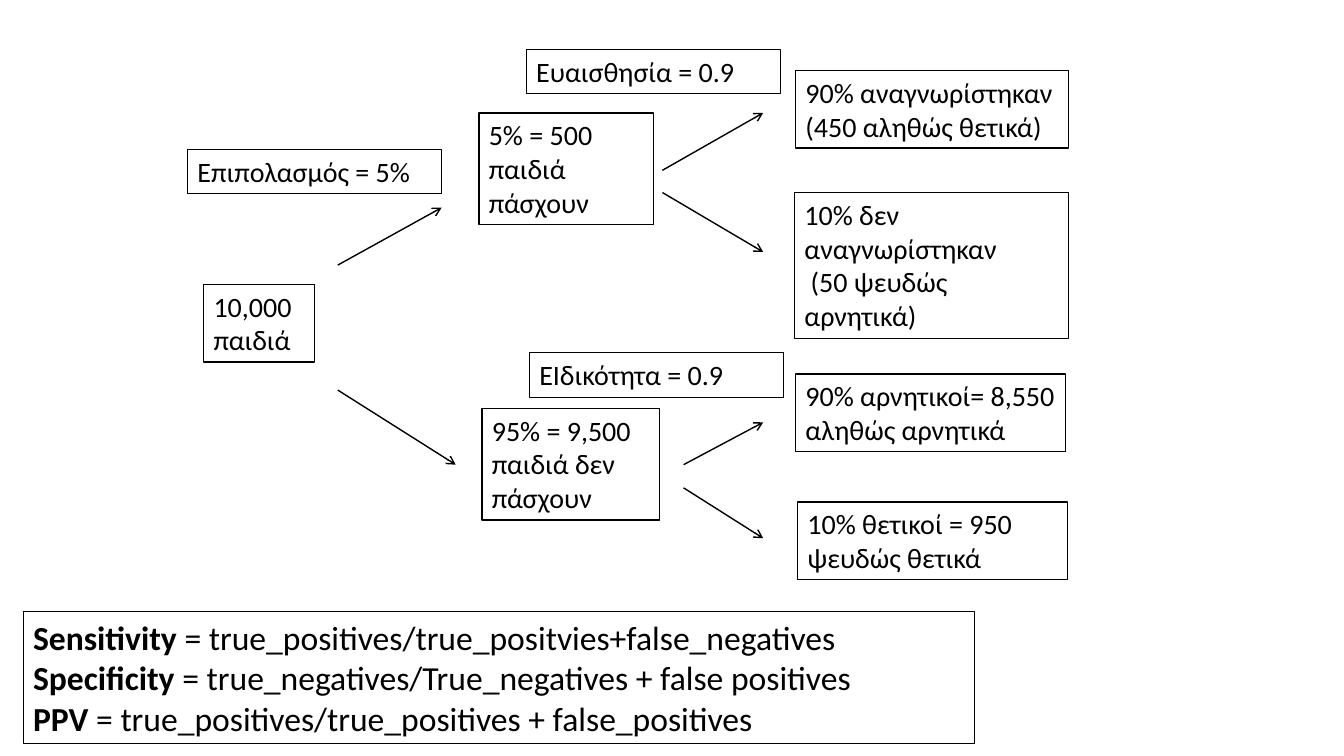
from dataclasses import dataclass

import pptx
import pptx.dml.color
import pptx.enum.shapes
import pptx.enum.text
import pptx.oxml
import pptx.oxml.ns
import pptx.util
from pptx.util import Inches

BLACK = "000000"
WHITE = "FFFFFF"
FONT = "Calibri"


@dataclass(frozen=True)
class Box:
    """A framed text; each line holds a bold term and the plain words after it."""
    left: float
    top: float
    width: float
    height: float
    lines: tuple[tuple[str, str], ...]
    size: int = 20
    border: float = 0.75
    fill: str | None = None


@dataclass(frozen=True)
class Arrow:
    start: tuple[float, float]
    end: tuple[float, float]


def group(left: float, top: float, width: float, height: float, *lines: str) -> Box:
    """A white box for a group of children in the tree."""
    return Box(left, top, width, height, tuple(("", line) for line in lines),
               border=1, fill=WHITE)


def rate(left: float, top: float, text: str) -> Box:
    """A label for the rate that governs a branching."""
    return Box(left, top, 2.52, 0.44, (("", text),))


BOXES = [
    group(2.02, 2.82, 1.1, 0.77, "10,000", "παιδιά"),
    group(4.75, 1.12, 1.73, 1.11, "5% = 500 παιδιά πάσχουν"),
    group(4.78, 4.05, 1.76, 1.11, "95% = 9,500 παιδιά δεν πάσχουν"),
    group(7.89, 0.7, 2.71, 0.77, "90% αναγνωρίστηκαν", "(450 αληθώς θετικά)"),
    group(7.88, 1.91, 2.72, 1.45, "10% δεν αναγνωρίστηκαν", " (50 ψευδώς αρνητικά)"),
    group(7.89, 3.71, 2.68, 0.77, "90% αρνητικοί= 8,550 αληθώς αρνητικά"),
    group(7.91, 4.98, 2.68, 0.77, "10% θετικοί = 950 ψευδώς θετικά"),
    rate(1.86, 1.48, "Επιπολασμός = 5%"),
    rate(5.22, 0.49, "Ευαισθησία = 0.9"),
    rate(5.25, 3.5, "ΕΙδικότητα = 0.9"),
    Box(0.23, 6.07, 9.44, 1.31, (
        ("Sensitivity", " = true_positives/true_positvies+false_negatives"),
        ("Specificity", " = true_negatives/True_negatives + false positives"),
        ("PPV", " = true_positives/true_positives + false_positives"),
    ), size=24),
]

ARROWS = [
    Arrow((3.35, 2.63), (4.38, 2.06)),
    Arrow((3.35, 3.87), (4.52, 4.61)),
    Arrow((6.57, 1.69), (7.57, 1.12)),
    Arrow((6.57, 1.91), (7.57, 2.5)),
    Arrow((6.78, 4.61), (7.57, 4.19)),
    Arrow((6.78, 4.84), (7.57, 5.34)),
]


def rgb(value: str) -> pptx.dml.color.RGBColor:
    return pptx.dml.color.RGBColor.from_string(value)


def add_text(paragraph, text: str, *, size: int, bold: bool = False,
             color: str = BLACK) -> None:
    run = paragraph.add_run()
    run.text = text
    run.font.name = FONT
    run.font.size = pptx.util.Pt(size)
    run.font.bold = bold
    run.font.color.rgb = rgb(color)


def draw_box(slide, box: Box) -> None:
    frame = slide.shapes.add_shape(
        pptx.enum.shapes.MSO_SHAPE.RECTANGLE,
        Inches(box.left), Inches(box.top), Inches(box.width), Inches(box.height))
    frame.shadow.inherit = False
    if box.fill:
        frame.fill.solid()
        frame.fill.fore_color.rgb = rgb(box.fill)
    else:
        frame.fill.background()
    frame.line.color.rgb = rgb(BLACK)
    frame.line.width = pptx.util.Pt(box.border)

    body = frame.text_frame
    body.word_wrap = True
    body.auto_size = pptx.enum.text.MSO_AUTO_SIZE.SHAPE_TO_FIT_TEXT
    body.vertical_anchor = pptx.enum.text.MSO_ANCHOR.TOP
    for index, (term, words) in enumerate(box.lines):
        paragraph = body.add_paragraph() if index else body.paragraphs[0]
        paragraph.alignment = pptx.enum.text.PP_ALIGN.LEFT
        if term:
            add_text(paragraph, term, size=box.size, bold=True)
        add_text(paragraph, words, size=box.size)


def draw_arrow(slide, arrow: Arrow) -> None:
    branch = slide.shapes.add_connector(
        pptx.enum.shapes.MSO_CONNECTOR.STRAIGHT,
        *map(Inches, arrow.start + arrow.end))
    branch.line.color.rgb = rgb(BLACK)
    branch.line.width = pptx.util.Pt(1)
    head = pptx.oxml.parse_xml(
        f'<a:tailEnd {pptx.oxml.ns.nsdecls("a")} type="arrow"/>')
    branch.line._get_or_add_ln().append(head)
    no_shadow = pptx.oxml.parse_xml(f'<a:effectLst {pptx.oxml.ns.nsdecls("a")}/>')
    branch._element.spPr.append(no_shadow)


def main() -> None:
    deck = pptx.Presentation()
    deck.slide_width = Inches(13.33)
    deck.slide_height = Inches(7.5)
    slide = deck.slides.add_slide(deck.slide_layouts[6])
    for box in BOXES:
        draw_box(slide, box)
    for arrow in ARROWS:
        draw_arrow(slide, arrow)
    deck.save("out.pptx")


if __name__ == "__main__":
    main()
